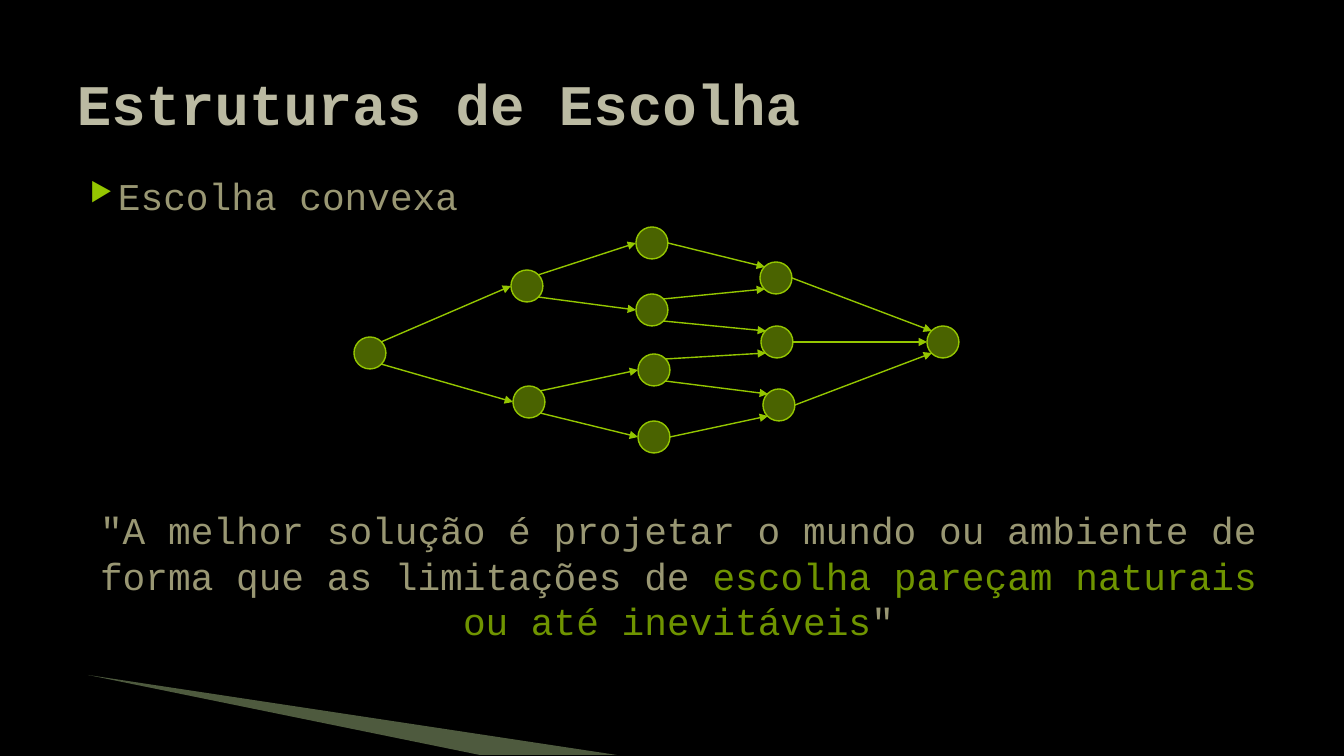
"""Builds the slide "Estruturas de Escolha" with its convex choice graph."""
from lxml.etree import SubElement
from pptx import Presentation
from pptx.dml.color import RGBColor
from pptx.enum.shapes import MSO_CONNECTOR as Connector, MSO_SHAPE as Shape
from pptx.enum.text import MSO_ANCHOR as Anchor, PP_ALIGN as Align
from pptx.oxml.ns import qn
from pptx.util import Pt

SCALE = 914400 / 100.8
FONT = "Courier New"
COLORS = {
    "background": "000000", "title": "BBBAA2", "text": "999773", "accent": "6F9400",
    "node": "4A6300", "edge": "94C600", "wedge": "C3E19D",
}
TITLE = [("Estruturas de Escolha", "title")]
TOPIC = [("Escolha convexa", "text")]
QUOTE = [
    ('"A melhor solução é projetar o mundo ou ambiente de forma que as limitações de ', "text"),
    ("escolha pareçam naturais ou até inevitáveis", "accent"),
    ('"', "text"),
]
WEDGE = [(88, 675), (617, 755), (480, 755)]
DIAMETER = 32
NODES = {
    "start": (370, 353),
    "upper": (527, 286), "lower": (529, 402),
    "path 1": (652, 243), "path 2": (652, 310), "path 3": (654, 370), "path 4": (654, 437),
    "merge 1": (776, 278), "merge 2": (777, 342), "merge 3": (779, 405),
    "end": (943, 342),
}
EDGES = [
    ("start", "NE", "upper", "W"), ("start", "SE", "lower", "W"),
    ("upper", "NE", "path 1", "W"), ("upper", "SE", "path 2", "W"),
    ("lower", "NE", "path 3", "W"), ("lower", "SE", "path 4", "W"),
    ("path 1", "E", "merge 1", "NW"), ("path 2", "NE", "merge 1", "SW"),
    ("path 2", "SE", "merge 2", "NW"), ("path 3", "NE", "merge 2", "SW"),
    ("path 3", "SE", "merge 3", "NW"), ("path 4", "E", "merge 3", "SW"),
    ("merge 1", "E", "end", "NW"), ("merge 2", "E", "end", "W"), ("merge 3", "E", "end", "SW"),
]
SITES = {"E": (16, 0), "W": (-16, 0), "NE": (11, -11), "SE": (11, 11),
         "NW": (-11, -11), "SW": (-11, 11)}


def px(length):
    return round(length * SCALE)


def color(name):
    return RGBColor.from_string(COLORS[name])


def add_text(page, spans, left, top, width, height, size, bold=False,
             align=Align.LEFT, anchor=Anchor.TOP, spacing=None):
    box = page.shapes.add_textbox(px(left), px(top), px(width), px(height))
    frame = box.text_frame
    frame.word_wrap = True
    frame.vertical_anchor = anchor
    frame.margin_left = frame.margin_right = frame.margin_top = frame.margin_bottom = 0
    para = frame.paragraphs[0]
    para.alignment = align
    if spacing:
        para.line_spacing = Pt(spacing)
    for text, name in spans:
        span = para.add_run()
        span.text = text
        span.font.name = FONT
        span.font.size = Pt(size)
        span.font.bold = bold
        span.font.color.rgb = color(name)
    return para


def add_bullet(para, hanging, indent):
    props = para._p.get_or_add_pPr()
    props.set("marL", str(px(hanging)))
    props.set("indent", str(px(-indent)))
    tint = SubElement(props, qn("a:buClr"))
    SubElement(tint, qn("a:srgbClr"), val=COLORS["edge"])
    SubElement(props, qn("a:buSzPct"), val="68000")
    SubElement(props, qn("a:buChar"), char="▶")


def add_wedge(page):
    builder = page.shapes.build_freeform(*WEDGE[0], scale=SCALE)
    builder.add_line_segments(WEDGE[1:], close=True)
    wedge = builder.convert_to_shape()
    wedge.shadow.inherit = False
    wedge.line.fill.background()
    wedge.fill.solid()
    wedge.fill.fore_color.rgb = color("wedge")
    tint = wedge._element.spPr.find(qn("a:solidFill"))[0]
    SubElement(tint, qn("a:alpha"), val="40000")


def add_node(page, x, y):
    corner = px(x - DIAMETER / 2), px(y - DIAMETER / 2)
    node = page.shapes.add_shape(Shape.OVAL, *corner, px(DIAMETER), px(DIAMETER))
    node.shadow.inherit = False
    node.fill.solid()
    node.fill.fore_color.rgb = color("node")
    node.line.color.rgb = color("edge")
    node.line.width = Pt(1)


def site(node, side):
    return [px(center + shift) for center, shift in zip(NODES[node], SITES[side])]


def add_edge(page, source, exit_side, target, entry_side):
    edge = page.shapes.add_connector(
        Connector.STRAIGHT, *site(source, exit_side), *site(target, entry_side))
    edge.line.color.rgb = color("edge")
    edge.line.width = Pt(1)
    SubElement(edge.line._get_or_add_ln(), qn("a:tailEnd"), type="triangle")
    SubElement(edge._element.spPr, qn("a:effectLst"))


def main():
    deck = Presentation()
    deck.slide_width, deck.slide_height = px(1344), px(756)
    page = deck.slides.add_slide(deck.slide_layouts[6])
    page.background.fill.solid()
    page.background.fill.fore_color.rgb = color("background")
    add_wedge(page)
    add_text(page, TITLE, 77, 40, 1190, 126, 41, bold=True, anchor=Anchor.MIDDLE)
    topic = add_text(page, TOPIC, 78, 173, 1189, 46, 27, spacing=32.5)
    add_bullet(topic, 40, 28)
    add_text(page, QUOTE, 90, 507, 1177, 138, 27, align=Align.CENTER, spacing=32.5)
    for center in NODES.values():
        add_node(page, *center)
    for edge in EDGES:
        add_edge(page, *edge)
    deck.save("out.pptx")


if __name__ == "__main__":
    main()
